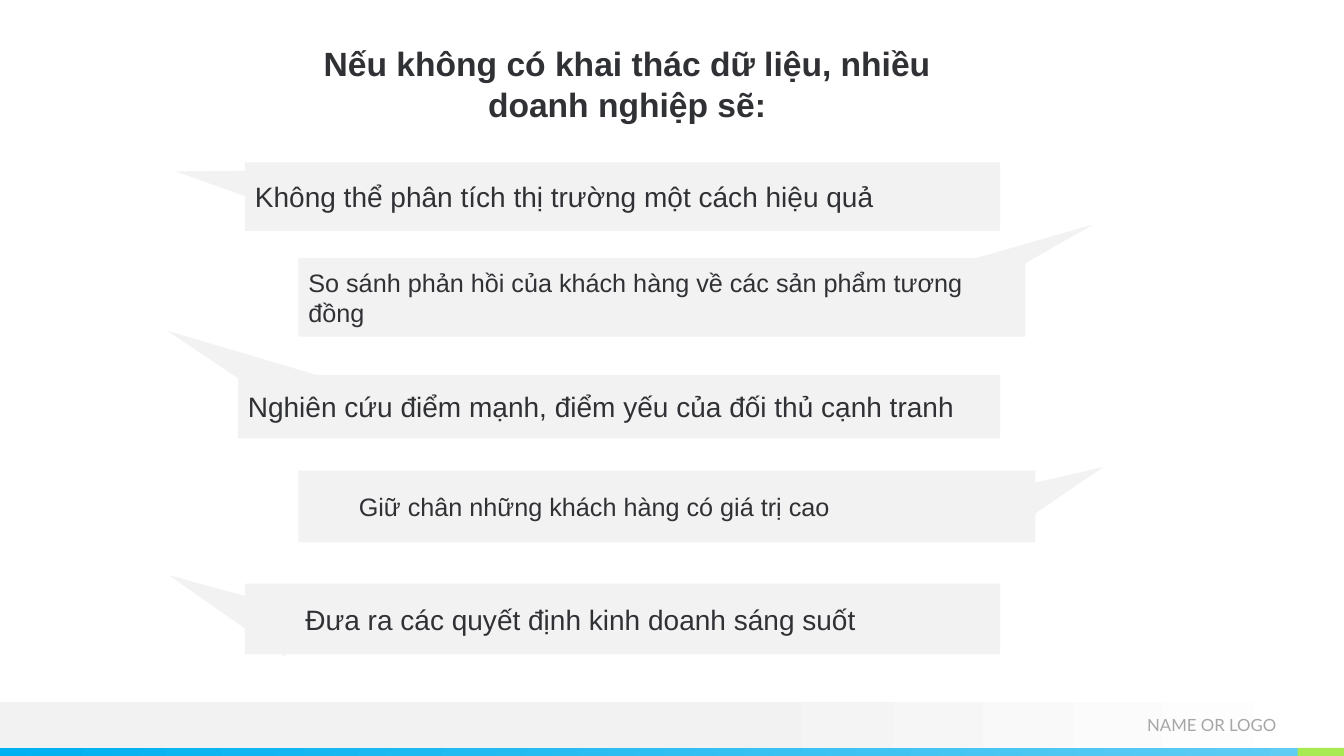
from dataclasses import dataclass

from pptx import Presentation
from pptx.dml.color import RGBColor
from pptx.enum.shapes import MSO_SHAPE
from pptx.enum.text import MSO_ANCHOR, MSO_AUTO_SIZE, PP_ALIGN
from pptx.util import Pt

PX = 9144  # EMU per px, 100 px to the inch
WIDE, HIGH = 1333, 750

DARK = RGBColor(0x30, 0x31, 0x34)
MUTED = RGBColor(0xA6, 0xA6, 0xA6)
PALE = RGBColor(0xF2, 0xF2, 0xF2)
WHITE = RGBColor(0xFF, 0xFF, 0xFF)
BLUE = RGBColor(0x00, 0xB0, 0xF0)
SKY = RGBColor(0x5E, 0xCC, 0xF3)
LIME = RGBColor(0xA7, 0xEA, 0x52)

RECT = MSO_SHAPE.RECTANGLE
WEDGE = MSO_SHAPE.ISOSCELES_TRIANGLE
LEFT, MID, RIGHT = PP_ALIGN.LEFT, PP_ALIGN.CENTER, PP_ALIGN.RIGHT
TOP, CENTRE = MSO_ANCHOR.TOP, MSO_ANCHOR.MIDDLE
GROW = MSO_AUTO_SIZE.SHAPE_TO_FIT_TEXT


@dataclass
class Box:
    left: int
    top: int
    width: int
    height: int

    def emu(self) -> list[int]:
        return [n * PX for n in (self.left, self.top, self.width, self.height)]


@dataclass
class Bubble:
    text: str
    size: int
    box: Box
    tail: Box
    turn: float
    peak: float = 0.5
    indent: int = 0


BUBBLES = [
    Bubble("Không thể phân tích thị trường một cách hiệu quả", 20,
           Box(243, 161, 749, 68), Box(212, 120, 43, 120), 279.6),
    Bubble("So sánh phản hồi của khách hàng về các sản phẩm tương đồng", 18,
           Box(296, 256, 721, 78), Box(998, 179, 36, 149), 68.5, peak=0.4),
    Bubble("Nghiên cứu điểm mạnh, điểm yếu của đối thủ cạnh tranh", 20,
           Box(236, 372, 756, 63), Box(213, 283, 48, 157), 295.2),
    Bubble("Giữ chân những khách hàng có giá trị cao", 18,
           Box(296, 467, 731, 71), Box(1028, 434, 39, 104), 68.5, peak=0.4, indent=50),
    Bubble("Đưa ra các quyết định kinh doanh sáng suốt", 20,
           Box(243, 579, 749, 70), Box(206, 531, 48, 138), 295.2, indent=50),
]


def add_shape(slide, kind, box: Box, *fill: RGBColor, start: float = 0):
    """Add a borderless shape; two colours make a left-to-right gradient."""
    shape = slide.shapes.add_shape(kind, *box.emu())
    shape.shadow.inherit = False
    shape.line.fill.background()
    if len(fill) == 1:
        shape.fill.solid()
        shape.fill.fore_color.rgb = fill[0]
    else:
        shape.fill.gradient()
        shape.fill.gradient_angle = 0
        for stop, color, place in zip(shape.fill.gradient_stops, fill, (start, 1)):
            stop.color.rgb = color
            stop.position = place
    return shape


def write(shape, text: str, size: int, color: RGBColor = DARK, font: str = "Arial",
          align=LEFT, anchor=CENTRE, bold: bool = False) -> None:
    frame = shape.text_frame
    frame.text = text
    frame.word_wrap = True
    frame.vertical_anchor = anchor
    line = frame.paragraphs[0]
    line.alignment = align
    face = line.runs[0].font
    face.size, face.name, face.bold = Pt(size), font, bold
    face.color.rgb = color


def add_footer(slide) -> None:
    add_shape(slide, RECT, Box(0, 696, WIDE, 46), PALE, WHITE, start=0.53)
    add_shape(slide, RECT, Box(0, 742, 1287, 8), BLUE, SKY)
    add_shape(slide, RECT, Box(1287, 742, 46, 8), LIME)
    label = slide.shapes.add_textbox(*Box(1042, 696, 224, 47).emu())
    write(label, "NAME OR LOGO", 12, MUTED, "Lato", RIGHT)
    frame = label.text_frame
    frame.margin_left = frame.margin_right = frame.margin_top = frame.margin_bottom = 0


def add_title(slide) -> None:
    title = slide.shapes.title
    title.left, title.top, title.width, title.height = Box(302, 38, 640, 91).emu()
    write(title, "Nếu không có khai thác dữ liệu, nhiều doanh nghiệp sẽ:", 24,
          align=MID, anchor=TOP, bold=True)
    title.text_frame.auto_size = GROW


def add_bubble(slide, item: Bubble) -> None:
    tail = add_shape(slide, WEDGE, item.tail, PALE)
    tail.rotation = item.turn
    tail.adjustments[0] = item.peak
    body = add_shape(slide, RECT, item.box, PALE)
    write(body, item.text, item.size)
    if item.indent:
        props = body.text_frame.paragraphs[0]._p.get_or_add_pPr()
        props.set("marL", str(item.indent * PX))
        props.set("indent", "0")


def main() -> None:
    deck = Presentation()
    deck.slide_width, deck.slide_height = WIDE * PX, HIGH * PX
    slide = deck.slides.add_slide(deck.slide_layouts[5])  # title only
    add_footer(slide)
    add_title(slide)
    for item in BUBBLES:
        add_bubble(slide, item)
    deck.save("out.pptx")


if __name__ == "__main__":
    main()
